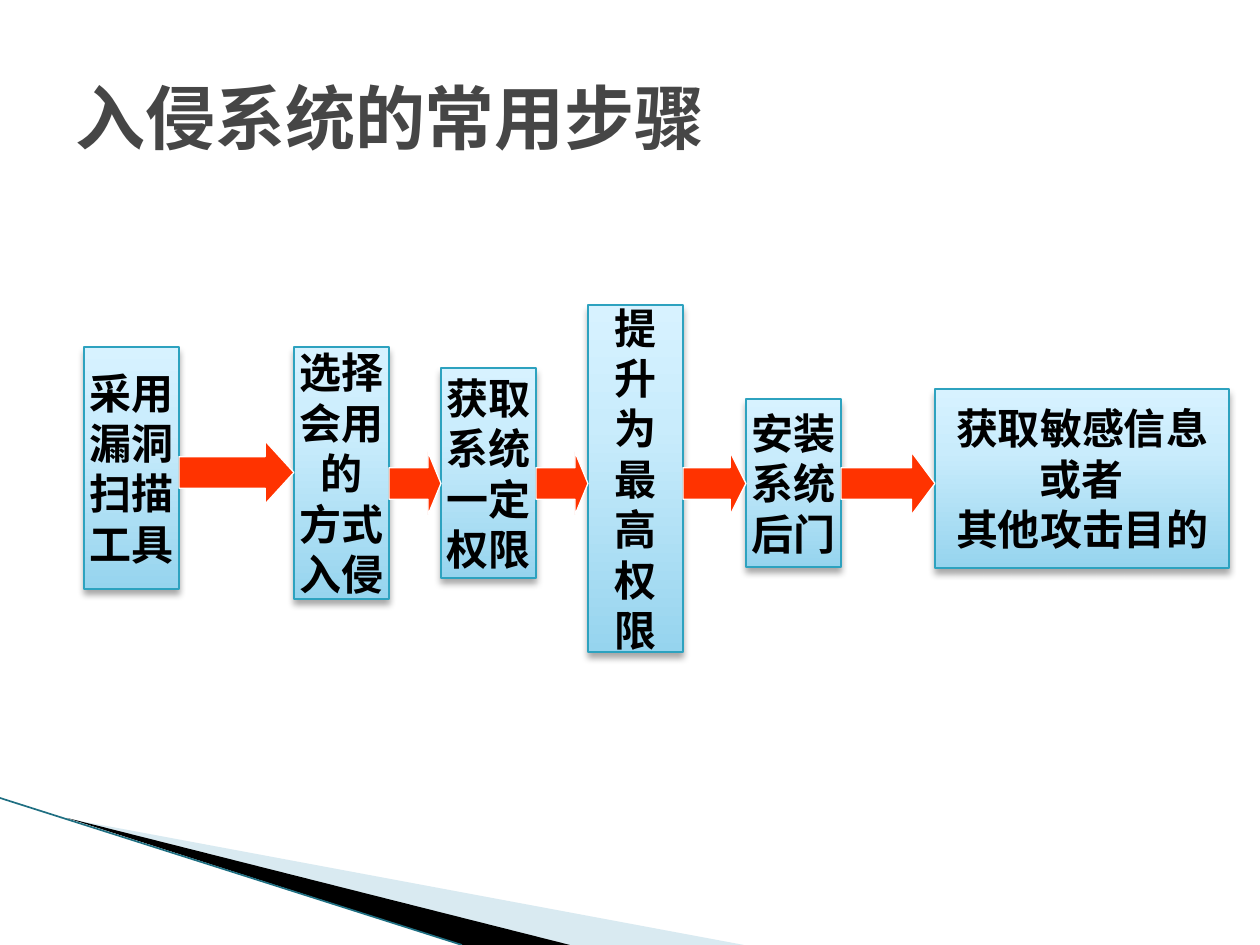
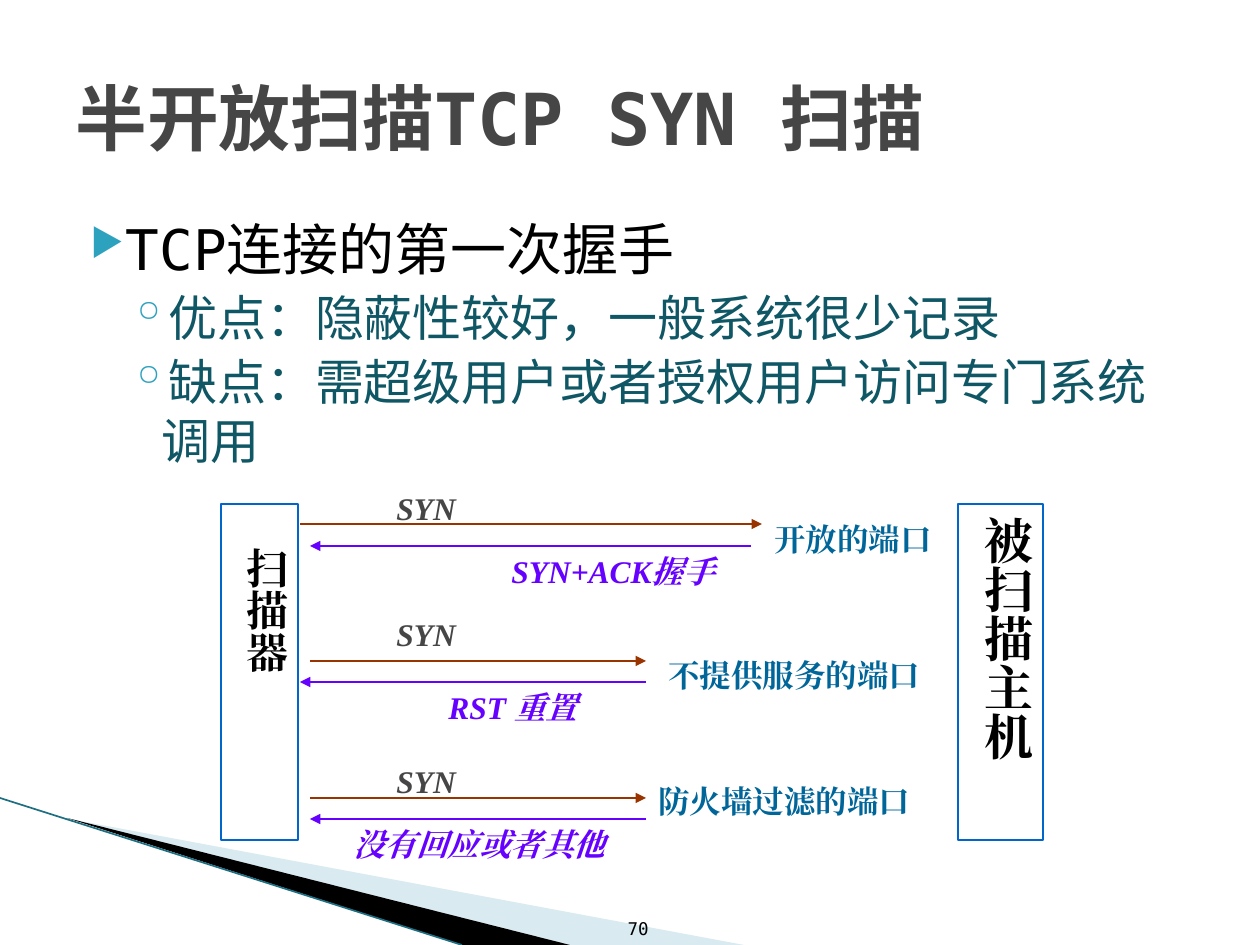
from copy import deepcopy
from dataclasses import dataclass
from itertools import pairwise

from lxml.etree import SubElement
from pptx import Presentation
from pptx.dml.color import RGBColor
from pptx.enum.shapes import MSO_CONNECTOR as CONN, MSO_SHAPE as SHAPE
from pptx.enum.text import MSO_ANCHOR as ANCHOR, PP_ALIGN as ALIGN
from pptx.oxml.ns import qn
from pptx.util import Emu, Pt

EMU_PER_PX = 914400 / 126
MONO = "DejaVu Sans Mono"
SERIF = "Times New Roman"
BLACK = "000000"
GREY = "464646"
TEAL = "2DA2BF"
DARK_TEAL = "105766"
PORT_BLUE = "006699"
FRAME_BLUE = "0066CC"
SEND_BROWN = "993300"
REPLY_VIOLET = "6600FF"
ARROW_RED = "FF3300"
STEP_STOPS = ((0, "96D4EE"), (0.65, "C9ECFC"), (1, "D7F2FF"))


@dataclass(frozen=True)
class Style:
    size: int
    color: str = BLACK
    font: str = SERIF
    bold: bool = True
    italic: bool = False


@dataclass(frozen=True)
class Step:
    x: int
    y: int
    w: int
    h: int
    text: str
    arrow_y: int = 483


@dataclass(frozen=True)
class Label:
    x: int
    y: int
    w: int
    text: str
    style: Style


@dataclass(frozen=True)
class Arrow:
    start: int
    end: int
    y: int
    color: str


@dataclass(frozen=True)
class Host:
    x: int
    w: int
    text: str
    size: int
    indent: int


@dataclass(frozen=True)
class Bullet:
    text: str
    char: str
    margin: int
    hanging: int
    before: float
    scale: int
    style: Style


PORT = Style(18, PORT_BLUE)
SYN = Style(18, GREY, italic=True)
REPLY = Style(18, REPLY_VIOLET, italic=True)
POINT = Style(32, font=MONO, bold=False)
SUBPOINT = Style(28, DARK_TEAL, MONO, bold=False)

STEPS = (
    Step(84, 347, 95, 242, "采用\n漏洞\n扫描\n工具"),
    Step(294, 347, 95, 252, "选择\n会用\n的\n方式\n入侵", 472),
    Step(441, 368, 95, 210, "获取\n系统\n一定\n权限"),
    Step(588, 305, 95, 347, "提\n升\n为\n最\n高\n权\n限"),
    Step(746, 399, 95, 168, "安装\n系统\n后门"),
    Step(935, 389, 294, 179, "获取敏感信息\n或者\n其他攻击目的"),
)
BULLETS = (
    Bullet("TCP连接的第一次握手", "▶", 50, 35, 0, 68, POINT),
    Bullet("优点：隐蔽性较好，一般系统很少记录", "◦", 86, 32, 3.2, 100, SUBPOINT),
    Bullet("缺点：需超级用户或者授权用户访问专门系统调用", "◦", 86, 32, 3.2, 100, SUBPOINT),
)
HOSTS = (
    Host(221, 77, "扫描器", 24, 31),
    Host(958, 85, "被扫描主机", 28, 0),
)
LABELS = (
    Label(762, 514, 199, "开放的端口", PORT),
    Label(656, 650, 284, "不提供服务的端口", PORT),
    Label(646, 776, 284, "防火墙过滤的端口", PORT),
    *(Label(384, y, 116, "SYN", SYN) for y in (483, 609, 756)),
    Label(499, 546, 242, "SYN+ACK握手", REPLY),
    Label(436, 682, 210, "RST 重置", REPLY),
    Label(341, 819, 305, "没有回应或者其他", REPLY),
)
ARROWS = (
    Arrow(300, 762, 524, SEND_BROWN),
    Arrow(751, 310, 546, REPLY_VIOLET),
    Arrow(310, 646, 661, SEND_BROWN),
    Arrow(646, 300, 682, REPLY_VIOLET),
    Arrow(310, 646, 798, SEND_BROWN),
    Arrow(646, 310, 819, REPLY_VIOLET),
)


def px(*lengths: int) -> list[Emu]:
    return [Emu(round(n * EMU_PER_PX)) for n in lengths]


def rgb(color: str) -> RGBColor:
    return RGBColor.from_string(color)


def format_paragraph(p, style: Style, align=ALIGN.LEFT) -> None:
    p.alignment = align
    for r in p.runs:
        font = r.font
        font.size = Pt(style.size)
        font.name = style.font
        font.bold = style.bold
        font.italic = style.italic
        font.color.rgb = rgb(style.color)
        latin = r._r.rPr.find(qn("a:latin"))
        ea = deepcopy(latin)
        ea.tag = qn("a:ea")
        latin.addnext(ea)


def set_text(sp, text: str, style: Style, align=ALIGN.LEFT, anchor=ANCHOR.TOP, wrap=True) -> None:
    tf = sp.text_frame
    tf.text = text
    tf.word_wrap = wrap
    tf.vertical_anchor = anchor
    for p in tf.paragraphs:
        format_paragraph(p, style, align)


def add_text(slide, box: tuple, text: str, style: Style, align=ALIGN.LEFT, anchor=ANCHOR.TOP) -> None:
    set_text(slide.shapes.add_textbox(*px(*box)), text, style, align, anchor)


def add_line(slide, start: tuple, end: tuple, color: str, width: float, arrowhead=False) -> None:
    line = slide.shapes.add_connector(CONN.STRAIGHT, *px(*start, *end))
    line.line.color.rgb = rgb(color)
    line.line.width = Pt(width)
    if arrowhead:
        SubElement(line.line._get_or_add_ln(), qn("a:tailEnd"), type="triangle")
    SubElement(line._element.spPr, qn("a:effectLst"))


def add_wedge(slide, points: list[tuple], color: str, alpha: int = 100) -> None:
    builder = slide.shapes.build_freeform(*points[0], scale=EMU_PER_PX)
    builder.add_line_segments(points[1:])
    sp = builder.convert_to_shape()
    sp.shadow.inherit = False
    sp.fill.solid()
    sp.fill.fore_color.rgb = rgb(color)
    sp.line.fill.background()
    if alpha < 100:
        SubElement(next(sp._element.spPr.iter(qn("a:srgbClr"))), qn("a:alpha"), val=str(alpha * 1000))


def add_box(slide, kind, box: tuple, line_color: str):
    sp = slide.shapes.add_shape(kind, *px(*box))
    sp.shadow.inherit = False
    sp.line.color.rgb = rgb(line_color)
    sp.line.width = Pt(0.75)
    return sp


def add_base_slide(prs, title: str, title_size: int):
    slide = prs.slides.add_slide(prs.slide_layouts[6])
    add_wedge(slide, [(69, 819), (744, 945), (569, 945)], "A0CBDC", 40)
    add_wedge(slide, [(67, 818), (570, 945), (462, 945)], BLACK)
    add_line(slide, (0, 798), (462, 945), "1F6F82", 0.95)
    add_text(slide, (63, 38, 1134, 158), title, Style(title_size, GREY, MONO), anchor=ANCHOR.MIDDLE)
    return slide


def add_step(slide, step: Step) -> None:
    sp = add_box(slide, SHAPE.RECTANGLE, (step.x, step.y, step.w, step.h), TEAL)
    sp.fill.gradient()
    sp.fill.gradient_angle = 90
    stop_list = next(sp._element.spPr.iter(qn("a:gsLst")))
    stop_list.append(deepcopy(stop_list[0]))
    for stop, (position, color) in zip(sp.fill.gradient_stops, STEP_STOPS):
        stop.position = position
        stop.color.rgb = rgb(color)
    shadow = SubElement(
        sp._element.spPr.find(qn("a:effectLst")), qn("a:outerShdw"),
        blurRad=str(Pt(4)), dist=str(Pt(3)), dir="5400000", rotWithShape="0",
    )
    shadow_color = SubElement(shadow, qn("a:srgbClr"), val=BLACK)
    SubElement(shadow_color, qn("a:alpha"), val="35000")
    set_text(sp, step.text, Style(24, font=MONO), ALIGN.CENTER, ANCHOR.MIDDLE, wrap=False)


def add_step_arrow(slide, before: Step, after: Step) -> None:
    left = before.x + before.w
    width = after.x - left
    sp = add_box(slide, SHAPE.RIGHT_ARROW, (left, after.arrow_y - 31, width, 63), "FFFFFF")
    sp.fill.solid()
    sp.fill.fore_color.rgb = rgb(ARROW_RED)
    sp.adjustments[0] = 0.5
    sp.adjustments[1] = max(0.25, width / 252)


def add_bullets(slide, box: tuple, bullets: tuple[Bullet, ...]) -> None:
    tf = slide.shapes.add_textbox(*px(*box)).text_frame
    tf.word_wrap = True
    for i, bullet in enumerate(bullets):
        p = tf.add_paragraph() if i else tf.paragraphs[0]
        p.text = bullet.text
        p.space_before = Pt(bullet.before)
        margin, hanging = px(bullet.margin, bullet.hanging)
        pPr = p._p.get_or_add_pPr()
        pPr.set("marL", str(margin))
        pPr.set("indent", str(-hanging))
        SubElement(SubElement(pPr, qn("a:buClr")), qn("a:srgbClr"), val=TEAL)
        SubElement(pPr, qn("a:buSzPct"), val=str(bullet.scale * 1000))
        SubElement(pPr, qn("a:buChar"), char=bullet.char)
        format_paragraph(p, bullet.style)


def add_host(slide, host: Host) -> None:
    sp = add_box(slide, SHAPE.RECTANGLE, (host.x, 504, host.w, 336), FRAME_BLUE)
    sp.fill.background()
    set_text(sp, host.text, Style(host.size))
    sp.text_frame._txBody.bodyPr.set("vert", "eaVert")
    pPr = sp.text_frame.paragraphs[0]._p.get_or_add_pPr()
    pPr.set("marL", str(px(host.indent)[0]))


def build_intrusion_steps(prs) -> None:
    slide = add_base_slide(prs, "入侵系统的常用步骤", 40)
    for step in STEPS:
        add_step(slide, step)
    for before, after in pairwise(STEPS):
        add_step_arrow(slide, before, after)


def build_syn_scan(prs) -> None:
    slide = add_base_slide(prs, "半开放扫描TCP SYN 扫描", 41)
    add_bullets(slide, (63, 208, 1134, 270), BULLETS)
    add_text(slide, (590, 883, 71, 62), "70", Style(10, font=MONO, bold=False), ALIGN.RIGHT, ANCHOR.BOTTOM)
    for host in HOSTS:
        add_host(slide, host)
    for arrow in ARROWS:
        add_line(slide, (arrow.start, arrow.y), (arrow.end, arrow.y), arrow.color, 0.75, arrowhead=True)
    for label in LABELS:
        add_text(slide, (label.x, label.y, label.w, 50), label.text, label.style)


def main() -> None:
    prs = Presentation()
    prs.slide_width, prs.slide_height = px(1260, 945)
    build_intrusion_steps(prs)
    build_syn_scan(prs)
    prs.save("out.pptx")


if __name__ == "__main__":
    main()
